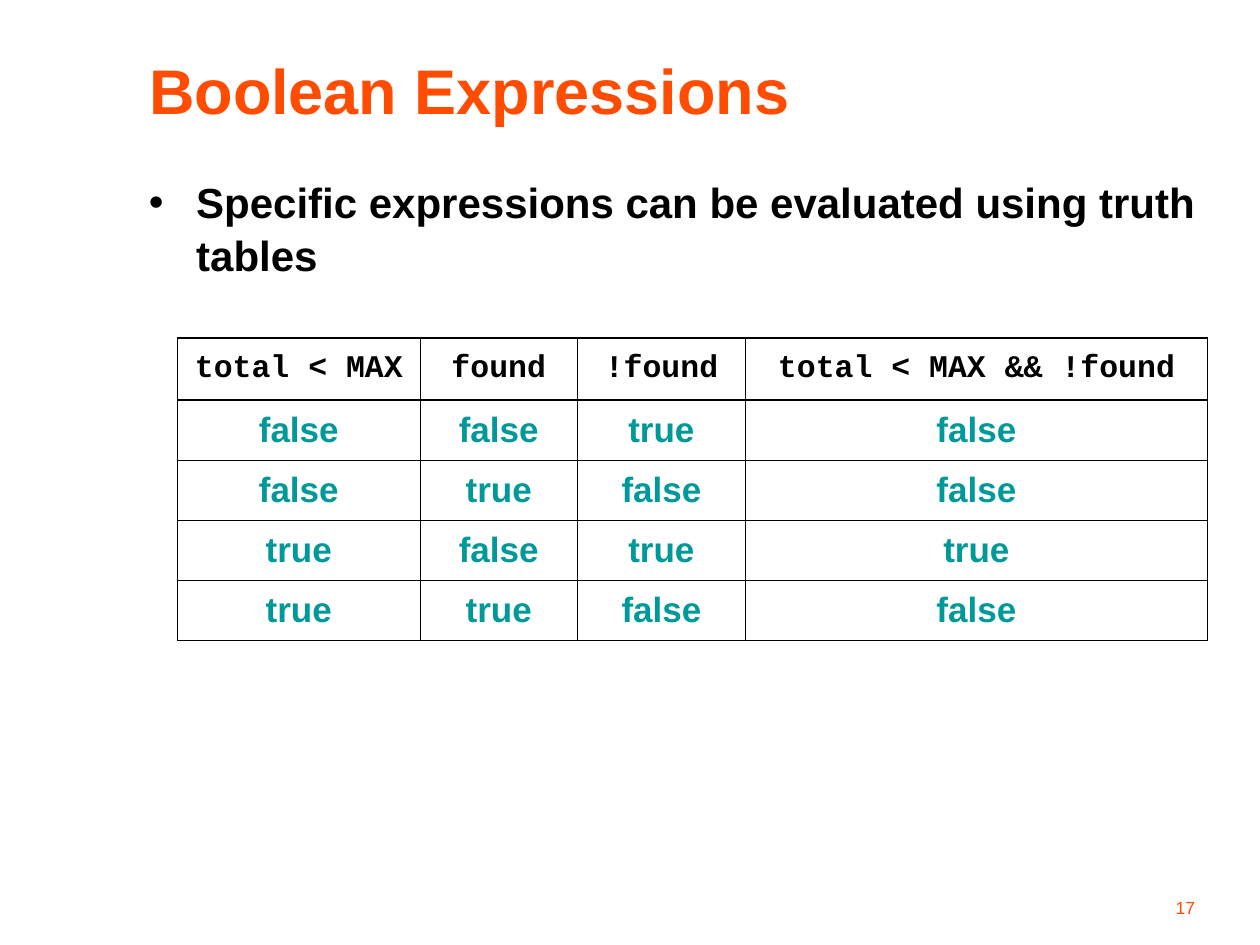
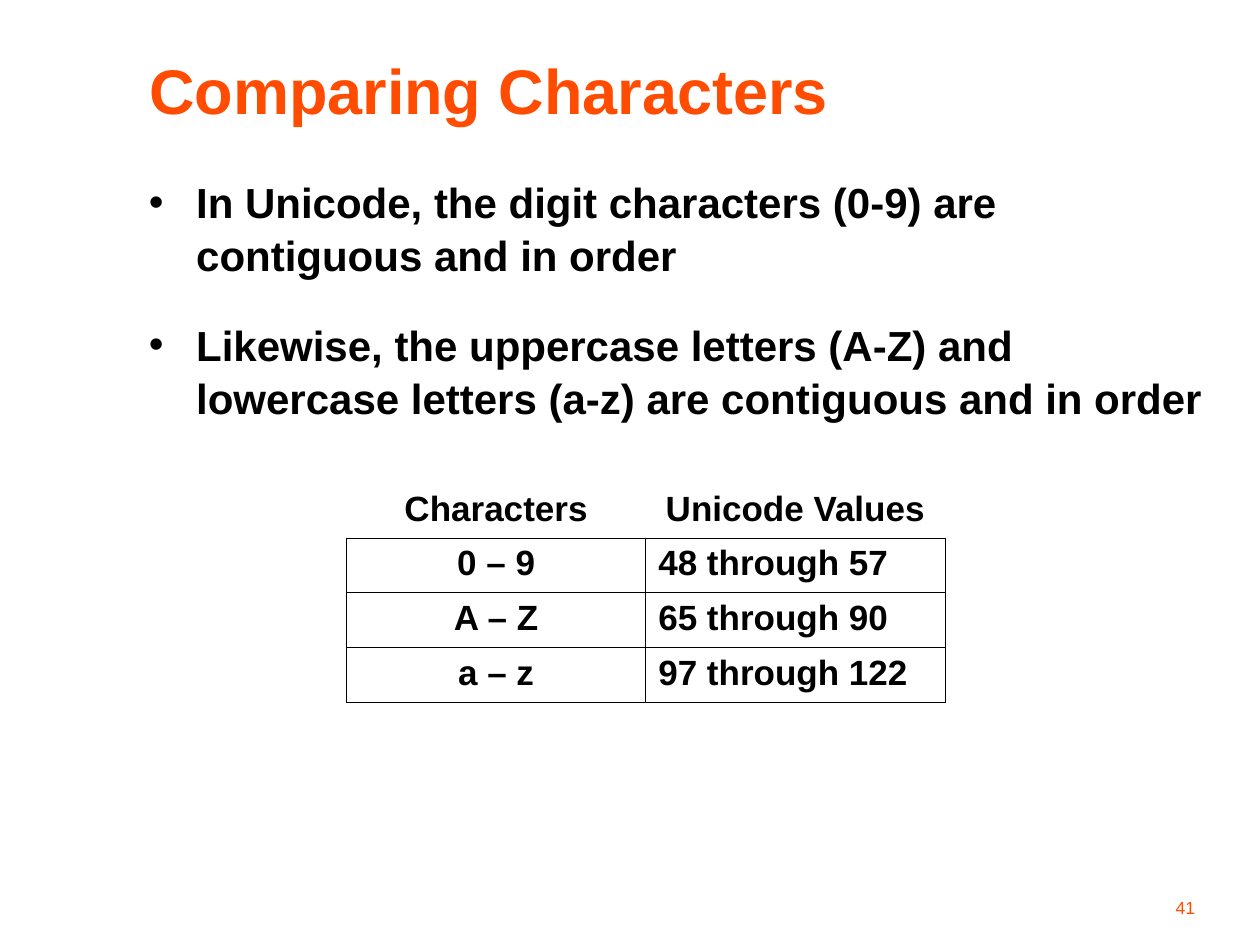
import pptx
import pptx.dml.color
import pptx.enum.text
import pptx.oxml
import pptx.oxml.ns
import pptx.util
from lxml import etree

Pt = pptx.util.Pt
ALIGN = pptx.enum.text.PP_ALIGN
ANCHOR = pptx.enum.text.MSO_ANCHOR

# Shared style
ORANGE, BLACK, TEAL = "FF4C00", "000000", "009999"
SANS, MONO = "Arial", "Courier New"
THIN, THICK = 0.45, 1.08


def color(value):
    return pptx.dml.color.RGBColor.from_string(value)


def add_xml(parent, tag, **attributes):
    return etree.SubElement(parent, pptx.oxml.ns.qn(tag), attributes)


class Deck:
    """Holds the presentation, its style and the current slide."""

    def __init__(self):
        self.presentation = pptx.Presentation()
        self.presentation.slide_width = Pt(720)
        self.presentation.slide_height = Pt(540)
        self.slide = None

    def start_slide(self, title, number):
        layout = self.presentation.slide_layouts[5]
        self.slide = self.presentation.slides.add_slide(layout)
        shape = self.slide.shapes.title
        shape.left, shape.top = Pt(78), Pt(24)
        shape.width, shape.height = Pt(624), Pt(54)
        self.frame(shape, ANCHOR.MIDDLE)
        self.add_text(shape.text_frame.paragraphs[0], title, 36, ORANGE)
        self.page_number(number)

    def frame(self, shape, anchor):
        text_frame = shape.text_frame
        text_frame.word_wrap = True
        text_frame.auto_size = pptx.enum.text.MSO_AUTO_SIZE.NONE
        text_frame.vertical_anchor = anchor
        return text_frame

    def add_text(self, paragraph, text, size, ink=BLACK, font=SANS, bold=True,
                 align=ALIGN.LEFT):
        paragraph.alignment = align
        run = paragraph.add_run()
        run.text = text
        run.font.name = font
        run.font.size = Pt(size)
        run.font.bold = bold
        run.font.color.rgb = color(ink)

    def page_number(self, number):
        shape = self.slide.shapes.add_textbox(Pt(540), Pt(498), Pt(150), Pt(30))
        paragraph = self.frame(shape, ANCHOR.BOTTOM).paragraphs[0]
        self.add_text(paragraph, str(number), 10, ORANGE, bold=False, align=ALIGN.RIGHT)

    def bullets(self, texts, width, height, space_before):
        shape = self.slide.shapes.add_textbox(Pt(78), Pt(96), Pt(width), Pt(height))
        text_frame = self.frame(shape, ANCHOR.TOP)
        for index, text in enumerate(texts):
            paragraph = text_frame.add_paragraph() if index else text_frame.paragraphs[0]
            paragraph.space_before = Pt(space_before)
            paragraph.line_spacing = 1.05
            self.add_text(paragraph, text, 24)
            properties = paragraph._p.get_or_add_pPr()
            properties.set("marL", str(Pt(27)))
            properties.set("indent", str(-Pt(27)))
            bullet_color = add_xml(properties, "a:buClr")
            add_xml(bullet_color, "a:srgbClr", val=BLACK)
            add_xml(properties, "a:buFont", typeface=SANS)
            add_xml(properties, "a:buChar", char="•")

    def table(self, left, top, widths, heights, rows, cell_style):
        """cell_style(row, column) gives text style, anchor and border widths."""
        shape = self.slide.shapes.add_table(
            len(rows), len(widths), Pt(left), Pt(top), Pt(sum(widths)), Pt(sum(heights)))
        table = shape.table
        table.first_row = table.horz_banding = False
        for column, width in zip(table.columns, widths):
            column.width = Pt(width)
        for row, height in zip(table.rows, heights):
            row.height = Pt(height)
        for row_index, texts in enumerate(rows):
            for column_index, text in enumerate(texts):
                cell = table.cell(row_index, column_index)
                style, anchor, borders = cell_style(row_index, column_index)
                cell.vertical_anchor = anchor
                cell.margin_left = cell.margin_right = Pt(7.2)
                cell.margin_top = cell.margin_bottom = Pt(3.6)
                self.add_text(cell.text_frame.paragraphs[0], text, **style)
                self.borders(cell, borders)
                cell.fill.background()

    def borders(self, cell, widths):
        """Widths run left, right, top, bottom; 0 means no line."""
        properties = cell._tc.get_or_add_tcPr()
        for side, width in zip("LRTB", widths):
            line = add_xml(properties, "a:ln" + side, w=str(Pt(width)))
            if width:
                fill = add_xml(line, "a:solidFill")
                add_xml(fill, "a:srgbClr", val=BLACK)
            else:
                add_xml(line, "a:noFill")


def truth_cell(row, column):
    style = dict(size=20, ink=TEAL, align=ALIGN.CENTER)
    if row == 0:
        style.update(size=18, ink=BLACK, font=MONO)
    borders = (THIN if column else THICK, THIN,
               THICK if row < 2 else THIN, THIN if row else THICK)
    return style, ANCHOR.MIDDLE, borders


def unicode_cell(row, column):
    centered = row == 0 or column == 0
    style = dict(size=20, align=ALIGN.CENTER if centered else ALIGN.LEFT)
    borders = (THIN,) * 4 if row else (0, 0, 0, THIN)
    return style, ANCHOR.TOP, borders


def main():
    deck = Deck()

    # Truth table
    deck.start_slide("Boolean Expressions", 17)
    deck.bullets(["Specific expressions can be evaluated using truth tables"], 624, 67, 6)
    truth_rows = [
        ("total < MAX", "found", "!found", "total < MAX && !found"),
        ("false", "false", "true", "false"),
        ("false", "true", "false", "false"),
        ("true", "false", "true", "true"),
        ("true", "true", "false", "false"),
    ]
    deck.table(101.5, 193, [138.5, 90, 96, 264], [35.5] + [34.3] * 4,
               truth_rows, truth_cell)

    # Unicode ranges
    deck.start_slide("Comparing Characters", 41)
    deck.bullets([
        "In Unicode, the digit characters (0-9) are contiguous and in order",
        "Likewise, the uppercase letters (A-Z) and lowercase letters (a-z) "
        "are contiguous and in order",
    ], 630, 162, 21)
    unicode_rows = [
        ("Characters", "Unicode Values"),
        ("0 – 9", "48 through 57"),
        ("A – Z", "65 through 90"),
        ("a – z", "97 through 122"),
    ]
    deck.table(198, 276, [171] * 2, [31.4] * 4, unicode_rows, unicode_cell)

    deck.presentation.save("out.pptx")


if __name__ == "__main__":
    main()
